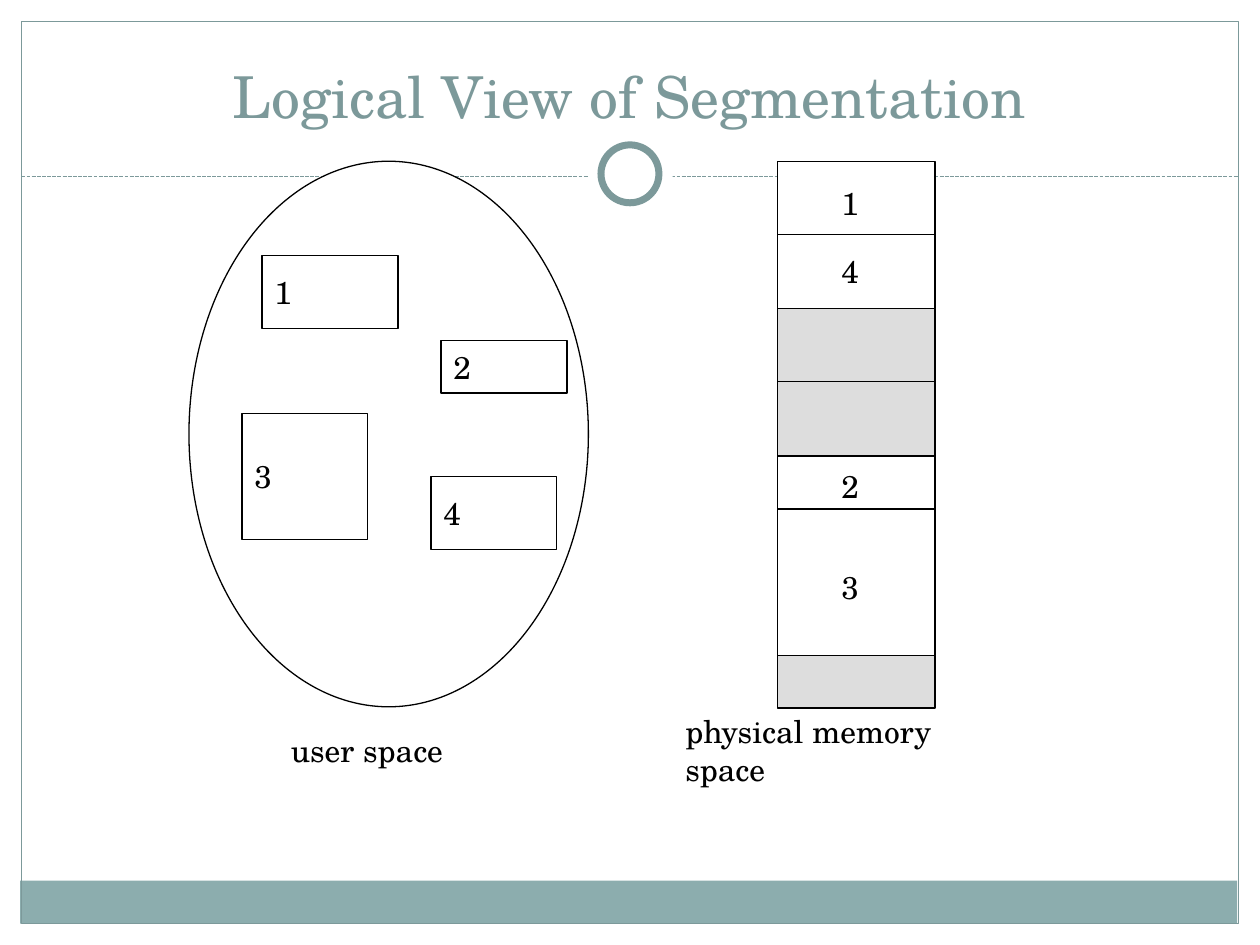
from pptx import Presentation
from pptx.dml.color import RGBColor
from pptx.enum.dml import MSO_LINE
from pptx.enum.shapes import MSO_CONNECTOR, MSO_SHAPE
from pptx.enum.text import MSO_ANCHOR, PP_ALIGN
from pptx.oxml.ns import qn
from pptx.util import Inches, Pt
from lxml import etree

RECTANGLE, OVAL = MSO_SHAPE.RECTANGLE, MSO_SHAPE.OVAL
STRAIGHT = MSO_CONNECTOR.STRAIGHT
LEFT, CENTER = PP_ALIGN.LEFT, PP_ALIGN.CENTER
MIDDLE, BOTTOM = MSO_ANCHOR.MIDDLE, MSO_ANCHOR.BOTTOM
DASH = MSO_LINE.SQUARE_DOT

COLORS = {
    "paper": "FFFFFF",
    "ink": "000000",
    "teal": "7C999A",
    "footer": "8CADAE",
    "free": "DDDDDD",
}
FONT = "TeX Gyre Schola"


def rgb(name):
    return RGBColor.from_string(COLORS[name])


def write(shape, text, size=18, color="ink", align=LEFT, anchor=MIDDLE):
    frame = shape.text_frame
    frame.word_wrap = True
    frame.vertical_anchor = anchor
    para = frame.paragraphs[0]
    para.alignment = align
    span = para.add_run()
    span.text = text
    span.font.name = FONT
    span.font.size = Pt(size)
    span.font.color.rgb = rgb(color)


class SlideBuilder:
    def __init__(self, slide, line_width=0.75):
        self.shapes = slide.shapes
        self.line_width = line_width

    def shape(self, kind, bounds, fill="paper", line="ink", width=None, text=None):
        shape = self.shapes.add_shape(kind, *map(Inches, bounds))
        shape.shadow.inherit = False
        if fill:
            shape.fill.solid()
            shape.fill.fore_color.rgb = rgb(fill)
        else:
            shape.fill.background()
        if line:
            shape.line.color.rgb = rgb(line)
            shape.line.width = Pt(width or self.line_width)
        else:
            shape.line.fill.background()
        if text:
            write(shape, text)

    def rule(self, left, right, top, color="ink", dash=None):
        line = self.shapes.add_connector(STRAIGHT, *map(Inches, (left, top, right, top)))
        line.line.color.rgb = rgb(color)
        line.line.width = Pt(self.line_width)
        if dash:
            line.line.dash_style = dash
        etree.SubElement(line._element.spPr, qn("a:effectLst"))

    def label(self, bounds, text, **style):
        box = self.shapes.add_textbox(*map(Inches, bounds))
        write(box, text, **style)


def draw_frame(builder):
    builder.shape(RECTANGLE, (0.16, 6.99, 9.66, 0.34), fill="footer", line=None)
    builder.shape(RECTANGLE, (0.17, 0.17, 9.66, 7.16), fill=None, line="teal")
    builder.rule(0.17, 9.83, 1.4, color="teal", dash=DASH)
    builder.shape(OVAL, (4.67, 1.05, 0.67, 0.67), line=None)
    builder.shape(OVAL, (4.77, 1.15, 0.46, 0.46), line="teal", width=4)
    builder.label((0.33, 0.25, 9.33, 0.83), "Logical View of Segmentation",
                  size=33, color="teal", align=CENTER, anchor=BOTTOM)


def draw_user_space(builder):
    builder.shape(OVAL, (1.5, 1.28, 3.17, 4.33))
    segments = {
        "1": (2.08, 2.03, 1.08, 0.58),
        "3": (1.92, 3.28, 1, 1),
        "2": (3.5, 2.7, 1, 0.42),
        "4": (3.42, 3.78, 1, 0.58),
    }
    for number, bounds in segments.items():
        builder.shape(RECTANGLE, bounds, text=number)
    builder.label((2.21, 5.75, 1.49, 0.4), "user space")


def draw_physical_memory(builder):
    left, top, width = 6.17, 1.28, 1.25
    blocks = [
        (1.17, "paper", 0.58),
        (1.17, "free", 0.58),
        (1.58, "paper", 0.42),
        (0.42, "free", None),
    ]
    for height, fill, divider in blocks:
        builder.shape(RECTANGLE, (left, top, width, height), fill=fill)
        if divider:
            builder.rule(left, left + width, top + divider)
        top += height
    for number, label_top in (("1", 1.41), ("4", 1.95), ("2", 3.66), ("3", 4.46)):
        builder.label((6.58, label_top, 0.34, 0.4), number)
    builder.label((5.34, 5.75, 2.81, 0.4), "physical memory space")


def main():
    deck = Presentation()
    deck.slide_width, deck.slide_height = Inches(10), Inches(7.5)
    page = deck.slides.add_slide(deck.slide_layouts[6])
    builder = SlideBuilder(page)
    draw_frame(builder)
    draw_user_space(builder)
    draw_physical_memory(builder)
    deck.save("out.pptx")


if __name__ == "__main__":
    main()
